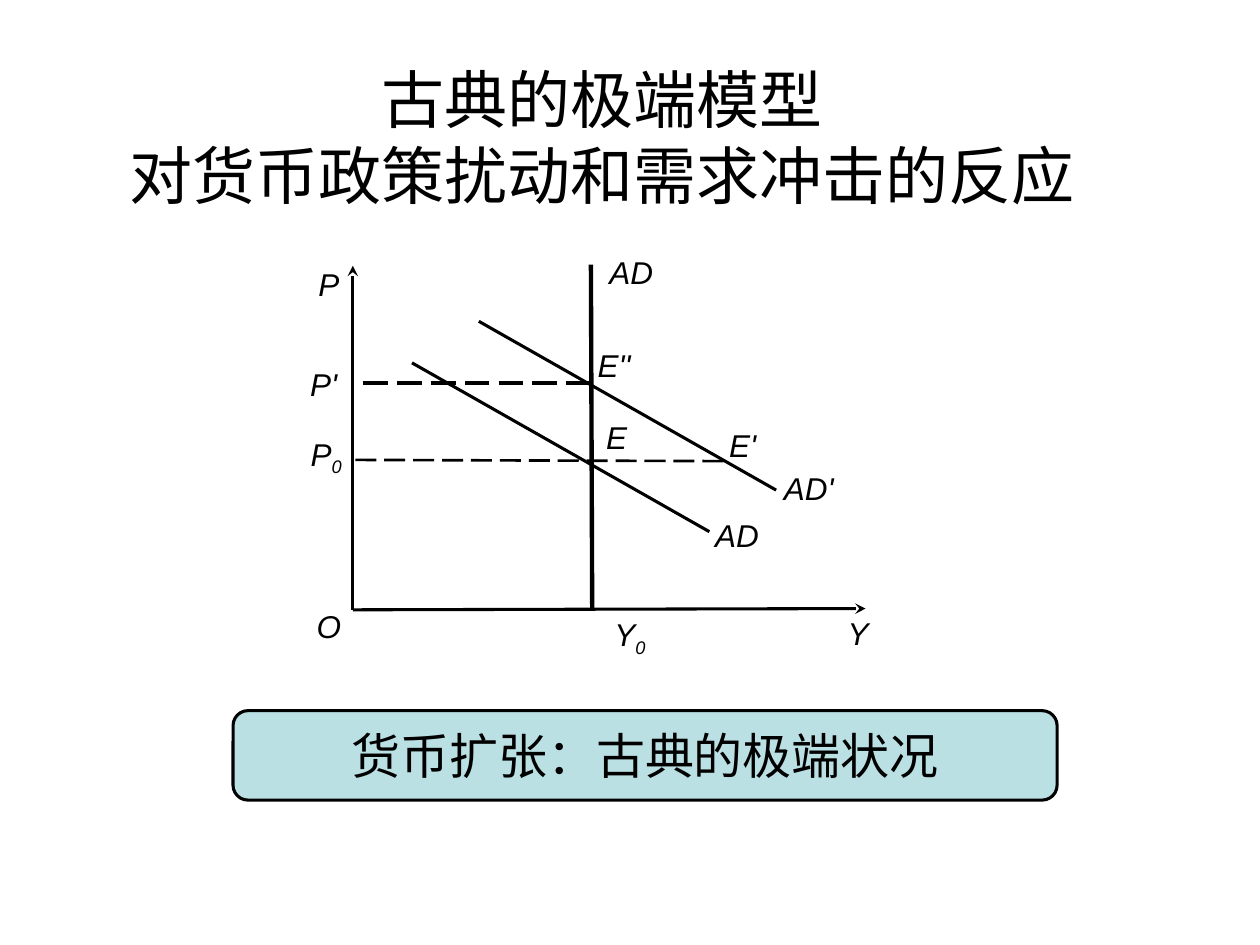
from pptx import Presentation
from pptx.dml.color import RGBColor
from pptx.enum.dml import MSO_LINE
from pptx.enum.shapes import MSO_CONNECTOR, MSO_SHAPE
from pptx.enum.text import MSO_ANCHOR, PP_ALIGN
from pptx.oxml.ns import qn
from pptx.util import Inches, Pt
from lxml import etree

BLACK = RGBColor(0x00, 0x00, 0x00)
PALE_TEAL = RGBColor(0xBB, 0xE0, 0xE3)


def write_text(shape, runs, **font_format):
    """Fill a shape with centred text; runs are (text, is_subscript) pairs."""
    frame = shape.text_frame
    frame.vertical_anchor = MSO_ANCHOR.MIDDLE
    paragraph = frame.paragraphs[0]
    paragraph.alignment = PP_ALIGN.CENTER
    for text, is_subscript in runs:
        run = paragraph.add_run()
        run.text = text
        run.font.color.rgb = BLACK
        for name, value in {"name": "Arial", **font_format}.items():
            setattr(run.font, name, value)
        if is_subscript:
            run.font._element.set("baseline", "-25000")


def add_box(shapes, left, top, width, height):
    """Add a plain rounded box whose text does not wrap."""
    shape = shapes.add_shape(MSO_SHAPE.ROUNDED_RECTANGLE, Inches(left),
                             Inches(top), Inches(width), Inches(height))
    shape.shadow.inherit = False
    shape.text_frame.word_wrap = False
    return shape


presentation = Presentation()
presentation.slide_width = Inches(10)
presentation.slide_height = Inches(7.5)
slide = presentation.slides.add_slide(presentation.slide_layouts[5])

# Title: the deep bottom inset lifts the two lines above the box centre
title = slide.shapes.title
title.left, title.top = Inches(0.28), Inches(0.91)
title.width, title.height = Inches(9), Inches(0.94)
title.text_frame.margin_bottom = Inches(0.65)
title.text_frame.paragraphs[0].line_spacing = 1.0
write_text(title, [("古典的极端模型", False)], size=Pt(36))
title.text_frame.paragraphs[0].add_line_break()
write_text(title, [("对货币政策扰动和需求冲击的反应", False)], size=Pt(36))

# Caption
caption = add_box(slide.shapes, 1.85, 5.64, 6.54, 0.71)
caption.fill.solid()
caption.fill.fore_color.rgb = PALE_TEAL
caption.line.color.rgb = BLACK
caption.line.width = Pt(1.75)
write_text(caption, [("货币扩张：古典的极端状况", False)], size=Pt(28))

# Diagram lines: start, end, width, dashed, arrow
diagram = slide.shapes.add_group_shape()
diagram_lines = [
    ((2.8, 4.84), (6.87, 4.83), 1.75, False, True),   # output axis
    ((2.8, 4.84), (2.8, 2.11), 1.75, False, True),    # price axis
    ((4.69, 2.1), (4.7, 4.83), 2.5, False, False),    # vertical curve
    ((2.82, 3.65), (5.77, 3.66), 1.5, True, False),   # first price level
    ((3.27, 2.88), (5.63, 4.22), 1.75, False, False),  # AD
    ((3.8, 2.55), (6.16, 3.89), 1.75, False, False),   # AD'
    ((4.69, 3.04), (2.8, 3.04), 1.75, True, False),   # second price level
]
for start, end, width, dashed, arrow in diagram_lines:
    connector = diagram.shapes.add_connector(
        MSO_CONNECTOR.STRAIGHT, *map(Inches, start + end))
    connector.line.color.rgb = BLACK
    connector.line.width = Pt(width)
    if dashed:
        connector.line.dash_style = MSO_LINE.LONG_DASH
    if arrow:
        etree.SubElement(connector.line._get_or_add_ln(), qn("a:tailEnd"),
                         type="stealth")
    etree.SubElement(connector._element.spPr, qn("a:effectLst"))

# Diagram labels: text, subscript, left, top, width, height
labels = [
    ("O", "", 2.4, 4.78, 0.42, 0.38),
    ("Y", "0", 4.79, 4.86, 0.42, 0.38),
    ("P", "0", 2.38, 3.43, 0.42, 0.38),
    ("P", "", 2.4, 2.06, 0.42, 0.38),
    ("AD'", "", 6.18, 3.67, 0.48, 0.41),
    ("AD", "", 4.8, 1.97, 0.42, 0.38),
    ("Y", "", 6.6, 4.83, 0.42, 0.38),
    ("E", "", 4.69, 3.28, 0.41, 0.38),
    ("E''", "", 4.67, 2.71, 0.41, 0.38),
    ("E'", "", 5.69, 3.34, 0.41, 0.38),
    ("AD", "", 5.61, 4.04, 0.48, 0.41),
    ("P'", "", 2.36, 2.86, 0.42, 0.38),
]
for text, subscript, *position in labels:
    label = add_box(diagram.shapes, *position)
    label.fill.background()
    label.line.fill.background()
    runs = [(text, False)] + ([(subscript, True)] if subscript else [])
    write_text(label, runs, size=Pt(18), italic=True)

presentation.save("out.pptx")
